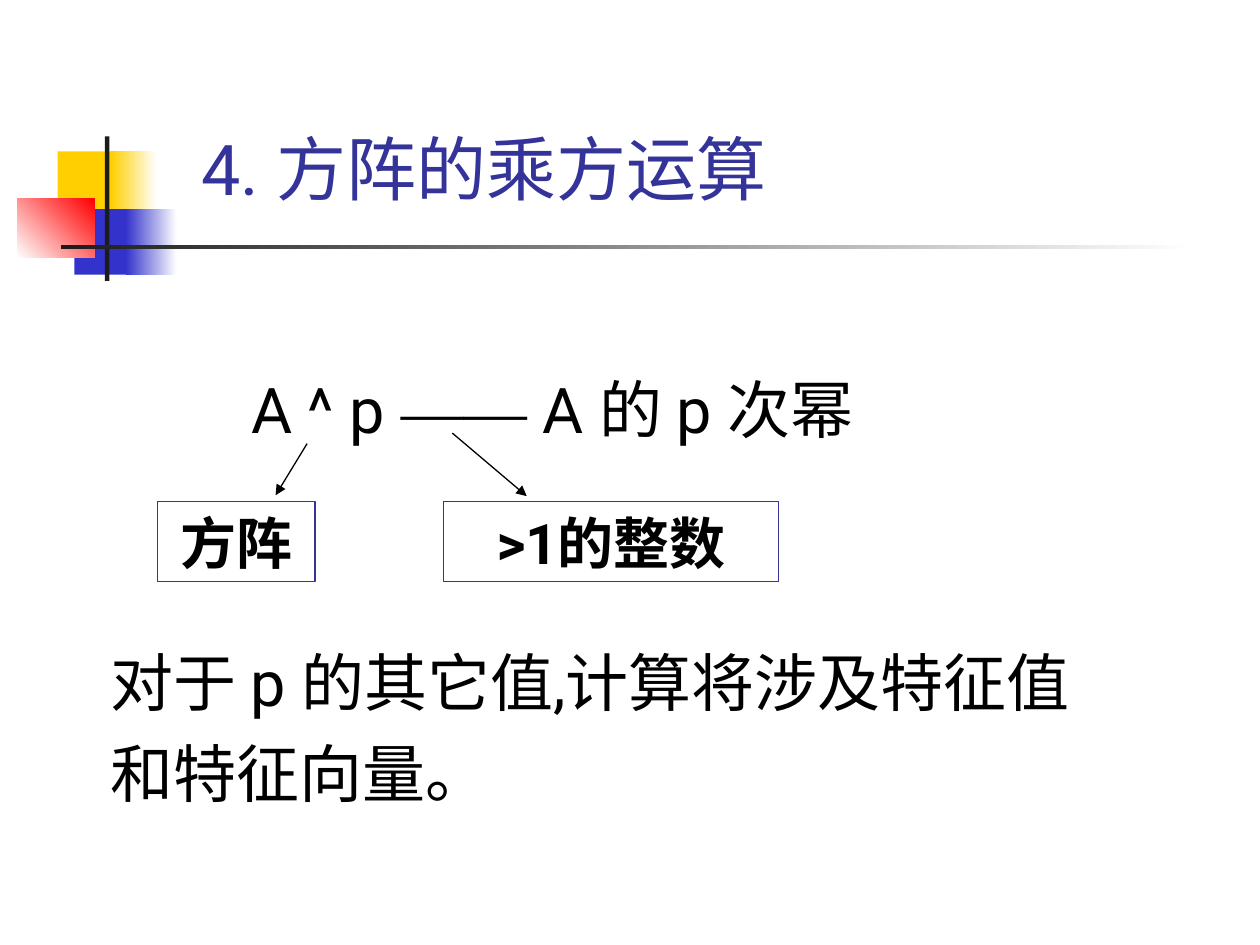
from lxml import etree
from pptx import Presentation
from pptx.dml.color import RGBColor
from pptx.enum import shapes, text
from pptx.oxml.ns import qn
from pptx.util import Pt

INK, NAVY, GOLD, BLUE, DARK = "000000", "333399", "FFCF01", "3333CC", "1C1C1C"
WHITE, RED = "FFFFFF", "FF0000"


def rgb(value):
    """Turn a hex string into a colour."""
    return RGBColor.from_string(value)


def add_block(slide, box, start, end=None, angle=0):
    """Add a borderless rectangle, solid or fading from start to end."""
    s = slide.shapes.add_shape(shapes.MSO_SHAPE.RECTANGLE, *map(Pt, box))
    s.shadow.inherit = False
    s.line.fill.background()
    if end is None:
        s.fill.solid()
        s.fill.fore_color.rgb = rgb(start)
        return
    s.fill.gradient()
    s.fill.gradient_angle = angle
    for stop, color, position in zip(s.fill.gradient_stops, (start, end), (0, 1)):
        stop.color.rgb = rgb(color)
        stop.position = position


def add_line(p, words, size=36, font="Roboto", color=INK, bold=False):
    """Add one formatted run to a paragraph."""
    r = p.add_run()
    r.text = words
    r.font.size, r.font.name, r.font.bold = Pt(size), font, bold
    r.font.color.rgb = rgb(color)


def add_frame(slide, box, anchor=text.MSO_ANCHOR.TOP):
    """Add a wrapping text box and return its text frame."""
    tf = slide.shapes.add_textbox(*map(Pt, box)).text_frame
    tf.word_wrap = True
    tf.vertical_anchor = anchor
    return tf


def add_ornament(slide, x, y):
    """Place the coloured squares and the crossing bars."""
    blocks = [
        ((23, 8.5, 34.5, 37.5), GOLD),
        ((53.5, 8.5, 26, 37.5), GOLD, WHITE),
        ((32.5, 41.5, 33, 37.5), BLUE),
        ((62, 41.5, 29, 37.5), BLUE, WHITE),
        ((0, 35.5, 44, 33.5), WHITE, RED, 45),
        ((50, 0, 2.5, 82.5), DARK),
        ((25, 62, 648, 2.5), DARK, WHITE),
    ]
    for (left, top, width, height), *colors in blocks:
        add_block(slide, (x + left, y + top, width, height), *colors)


def add_title(slide, box):
    """Place the heading at the foot of its box."""
    tf = add_frame(slide, box, text.MSO_ANCHOR.BOTTOM)
    add_line(tf.paragraphs[0], "4. 方阵的乘方运算", size=40, color=NAVY)


def add_formula(slide, box):
    """Place the power expression and its meaning."""
    p = add_frame(slide, box).paragraphs[0]
    add_line(p, "A ^ p ")
    add_line(p, "——", font="Times New Roman")
    add_line(p, " A 的 p 次幂")


def add_callout(slide, box, words, start, end):
    """Place a framed label and the arrow that leads to it."""
    c = slide.shapes.add_connector(shapes.MSO_CONNECTOR.STRAIGHT, *map(Pt, start + end))
    c.line.width = Pt(0.75)
    c.line.color.rgb = rgb(INK)
    etree.SubElement(c.line._get_or_add_ln(), qn("a:tailEnd"), type="triangle")
    etree.SubElement(c._element.spPr, qn("a:effectLst"))

    s = slide.shapes.add_shape(shapes.MSO_SHAPE.RECTANGLE, *map(Pt, box))
    s.shadow.inherit = False
    s.fill.background()
    s.line.width = Pt(0.75)
    s.line.color.rgb = rgb(NAVY)
    tf = s.text_frame
    tf.word_wrap = True
    tf.vertical_anchor = text.MSO_ANCHOR.MIDDLE
    p = tf.paragraphs[0]
    p.alignment = text.PP_ALIGN.CENTER
    add_line(p, words, size=32, bold=True)


def add_note(slide, box, lines):
    """Place the closing remark, one paragraph a line."""
    tf = add_frame(slide, box)
    for i, words in enumerate(lines):
        p = tf.add_paragraph() if i else tf.paragraphs[0]
        if i:
            p.space_before = Pt(9)
        add_line(p, words)


def main():
    """Build and save the slide."""
    prs = Presentation()
    prs.slide_width, prs.slide_height = Pt(720), Pt(540)
    slide = prs.slides.add_slide(prs.slide_layouts[6])
    add_ornament(slide, 10, 78)
    add_title(slide, (108, 67.5, 448.5, 55.5))
    add_formula(slide, (136.5, 208, 525.5, 52))
    add_callout(slide, (90, 286.5, 90, 46), "方阵", (175.5, 253.5), (157.5, 283))
    add_callout(slide, (253.5, 286.5, 191.5, 46), ">1的整数", (258.5, 247.5), (301, 283.5))
    add_note(slide, (56, 364, 606, 104), ["对于 p 的其它值,计算将涉及特征值", "和特征向量。"])
    prs.save("out.pptx")


if __name__ == "__main__":
    main()
